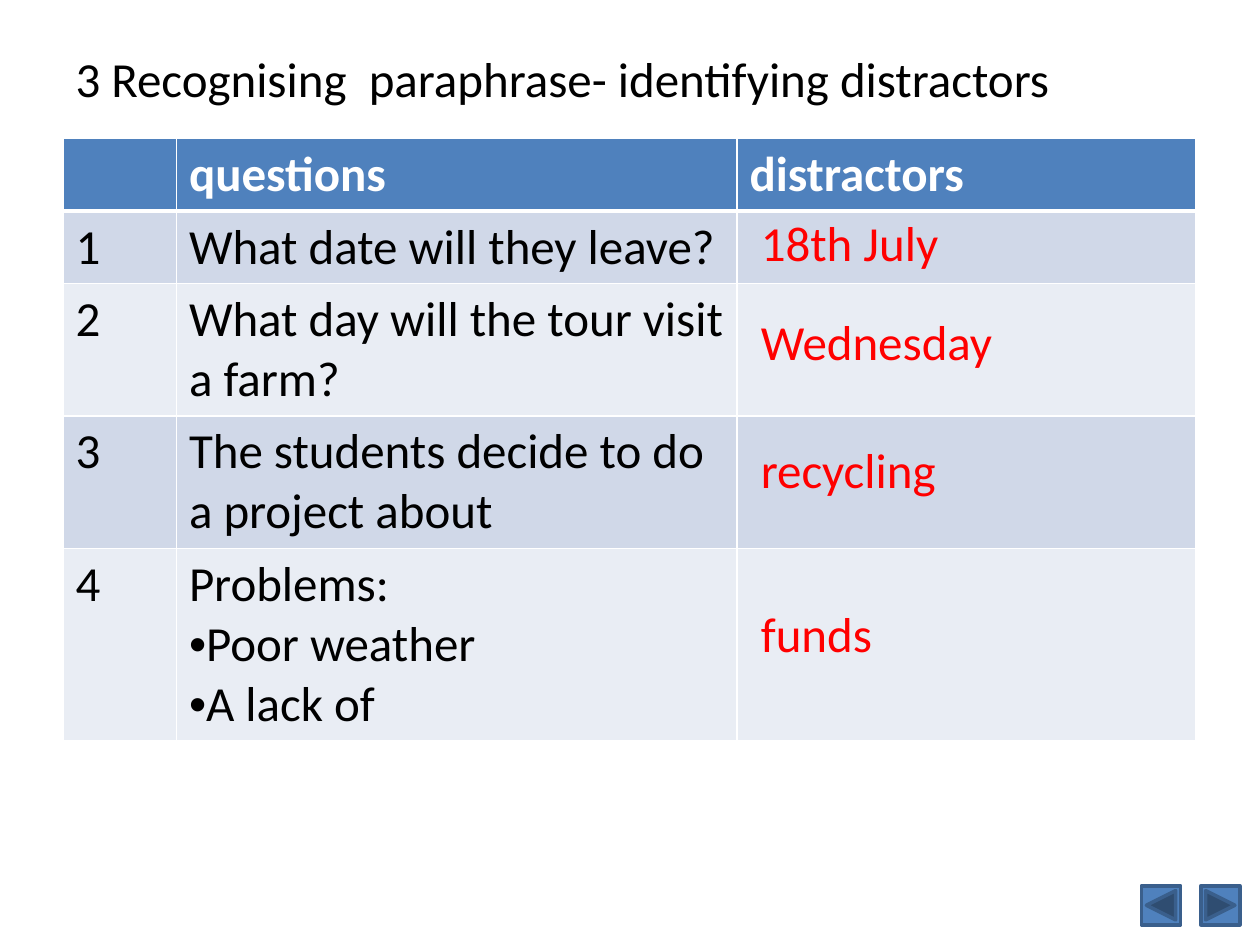
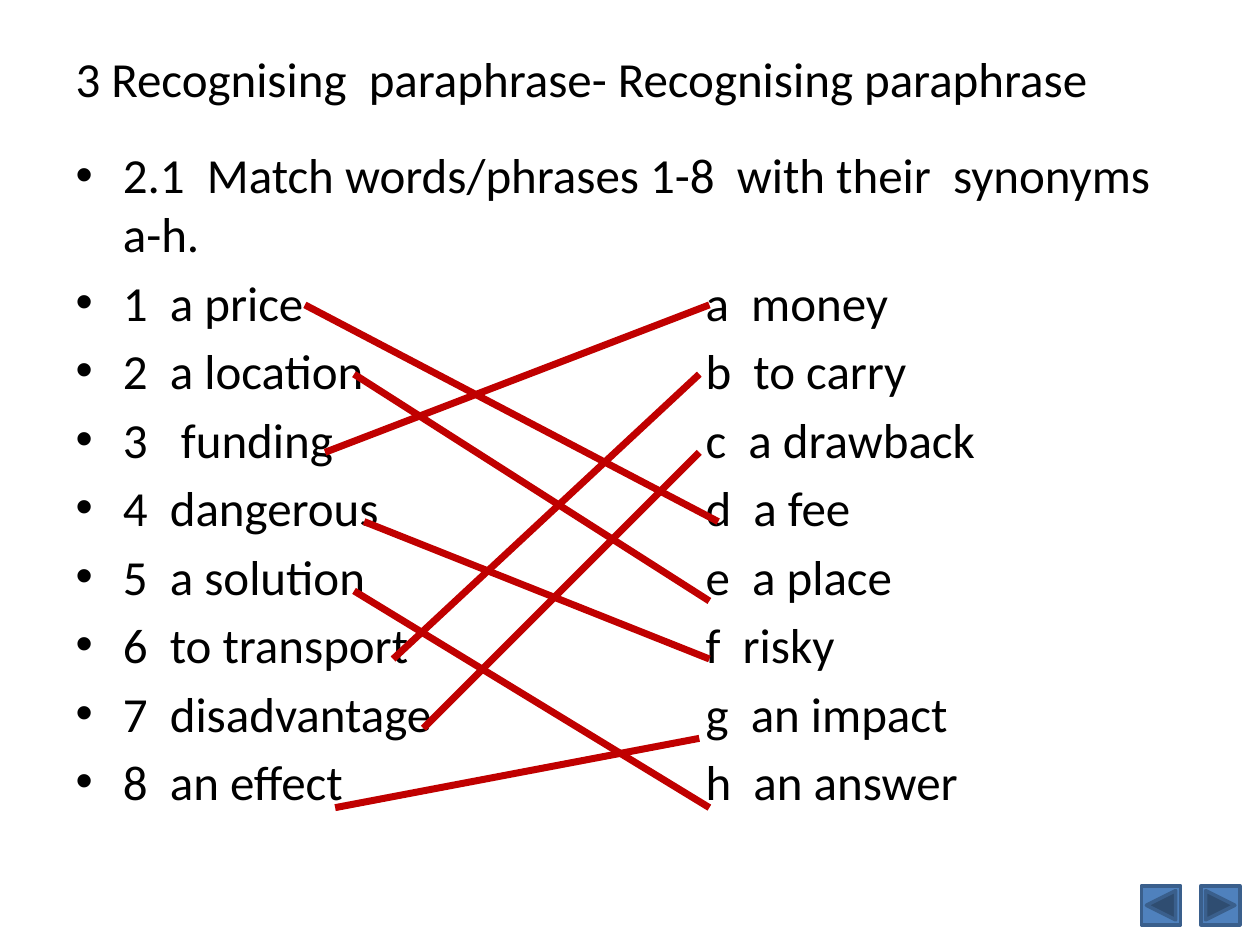
from lxml import etree
from pptx import Presentation
from pptx.dml.color import RGBColor
from pptx.enum.shapes import MSO_CONNECTOR, MSO_SHAPE
from pptx.enum.text import MSO_ANCHOR, MSO_AUTO_SIZE, PP_ALIGN
from pptx.oxml.ns import qn
from pptx.util import Inches, Pt

LEFT, MIDDLE = PP_ALIGN.LEFT, MSO_ANCHOR.MIDDLE
FIT = MSO_AUTO_SIZE.TEXT_TO_FIT_SHAPE
STRAIGHT = MSO_CONNECTOR.STRAIGHT
BACK = MSO_SHAPE.ACTION_BUTTON_BACK_OR_PREVIOUS
NEXT = MSO_SHAPE.ACTION_BUTTON_FORWARD_OR_NEXT

COLORS = {
    "text": "000000", "white": "FFFFFF", "blue": "4F81BD", "edge": "3A5F8C",
    "odd": "D0D8E8", "even": "E9EDF4", "answer": "FF0000", "match": "C00000",
}
FONT, SIZE = "Calibri", 28
BULLET = "•"
TOP = 1.1

TITLES = [
    "3 Recognising  paraphrase- identifying distractors",
    "3 Recognising  paraphrase- Recognising paraphrase",
]

HEADER = ["", "questions", "distractors"]
QUESTIONS = [
    ["What date will they leave?"],
    ["What day will the tour visit a farm?"],
    ["The students decide to do a project about"],
    ["Problems:", BULLET + "Poor weather", BULLET + "A lack of"],
]
COLS = [0.9, 4.45, 3.64]
ROWS = [0.57, 0.57, 1.05, 1.05, 1.52]
ANSWERS = [("18th July", 1.64), ("Wednesday", 2.42),
           ("recycling", 3.44), ("funds", 4.74)]

TASK = "2.1  Match words/phrases 1-8  with their  synonyms a-h."
# phrase, tabs to the second column, synonym
PAIRS = [
    ("1  a price ", 4, "a  money"),
    ("2  a location ", 3, "b  to carry"),
    ("3   funding", 3, "c  a drawback"),
    ("4  dangerous", 3, "d  a fee"),
    ("5  a solution", 3, "e  a place"),
    ("6  to transport", 3, "f  risky"),
    ("7  disadvantage", 3, "g  an impact"),
    ("8  an effect ", 3, "h  an answer"),
]
# x and y of both ends of each match
MATCHES = [
    (2.42, 2.42, 5.7, 4.14), (2.81, 2.97, 5.63, 4.77),
    (2.58, 3.59, 5.63, 2.42), (2.89, 4.14, 5.63, 5.23),
    (2.81, 4.69, 5.63, 6.41), (3.12, 5.23, 5.55, 2.97),
    (3.36, 5.78, 5.55, 3.59), (2.66, 6.41, 5.55, 5.86),
]


def color(name):
    return RGBColor.from_string(COLORS[name])


def place(shape, *box):
    shape.left, shape.top, shape.width, shape.height = map(Inches, box)


def style(par, tone="text", bold=False):
    font = par.font
    font.name, font.size, font.bold = FONT, Pt(SIZE), bold
    font.color.rgb = color(tone)


def write(frame, lines, tone="text", bold=False):
    """Fill a text frame; a line that starts with a bullet gets a real one."""
    for i, line in enumerate(lines):
        par = frame.paragraphs[0] if i == 0 else frame.add_paragraph()
        par.text = line.removeprefix(BULLET)
        style(par, tone, bold)
        if line.startswith(BULLET):
            props = par._p.get_or_add_pPr()
            mark = etree.Element(qn("a:buChar"), char=BULLET)
            face = etree.Element(qn("a:buFont"), typeface="Arial")
            props.insert(0, face)
            props.insert(1, mark)


def add_page(prs, layout, title):
    """Add a slide with the shared title and the two buttons."""
    page = prs.slides.add_slide(prs.slide_layouts[layout])
    head = page.shapes.title
    place(head, 0.5, 0.3, 9, 0.64)
    frame = head.text_frame
    frame.vertical_anchor = MIDDLE
    write(frame, [title])
    frame.paragraphs[0].alignment = LEFT
    for kind, x in ((BACK, 9.06), (NEXT, 9.53)):
        box = map(Inches, (x, 7.03, 0.31, 0.31))
        button = page.shapes.add_shape(kind, *box)
        button.shadow.inherit = False
        button.fill.solid()
        button.fill.fore_color.rgb = color("blue")
        button.line.color.rgb = color("edge")
        button.line.width = Pt(2)
    return page


def rule(cell, top, bottom):
    """Draw white borders, with the top and bottom widths in points."""
    props = cell._tc.get_or_add_tcPr()
    sides = (("L", 1), ("R", 1), ("T", top), ("B", bottom))
    for i, (side, width) in enumerate(sides):
        line = etree.Element(qn("a:ln" + side), w=str(Pt(width)))
        fill = etree.SubElement(line, qn("a:solidFill"))
        etree.SubElement(fill, qn("a:srgbClr"), val=COLORS["white"])
        props.insert(i, line)


def add_grid(page):
    rows = [[[text] for text in HEADER]]
    rows += [[[str(n)], lines, [""]] for n, lines in enumerate(QUESTIONS, 1)]
    box = map(Inches, (0.5, TOP, sum(COLS), sum(ROWS)))
    grid = page.shapes.add_table(len(ROWS), len(COLS), *box).table
    for col, width in zip(grid.columns, COLS):
        col.width = Inches(width)
    for r, row in enumerate(rows):
        grid.rows[r].height = Inches(ROWS[r])
        fill = "blue" if r == 0 else "odd" if r % 2 else "even"
        for c, lines in enumerate(row):
            cell = grid.cell(r, c)
            cell.fill.solid()
            cell.fill.fore_color.rgb = color(fill)
            rule(cell, 3 if r == 1 else 1, 3 if r == 0 else 1)
            write(cell.text_frame, lines, "text" if r else "white", r == 0)


def add_answers(page):
    for text, y in ANSWERS:
        box = map(Inches, (5.94, y, 2.5, 0.57))
        frame = page.shapes.add_textbox(*box).text_frame
        frame.word_wrap = True
        write(frame, [text], "answer")


def add_pairs(page):
    body = page.placeholders[1]
    place(body, 0.5, TOP, 9, 6.02)
    frame = body.text_frame
    frame.auto_size = FIT
    lines = [left + "\t" * tabs + right for left, tabs, right in PAIRS]
    write(frame, [TASK] + lines)
    for par in frame.paragraphs:
        par._p.get_or_add_pPr().set("defTabSz", str(Inches(1)))


def add_matches(page):
    for ends in MATCHES:
        link = page.shapes.add_connector(STRAIGHT, *map(Inches, ends))
        link.line.color.rgb = color("match")
        link.line.width = Pt(4)
        etree.SubElement(link._element.spPr, qn("a:effectLst"))


def main():
    prs = Presentation()
    prs.slide_width, prs.slide_height = Inches(10), Inches(7.5)
    page = add_page(prs, 5, TITLES[0])
    add_grid(page)
    add_answers(page)
    page = add_page(prs, 1, TITLES[1])
    add_pairs(page)
    add_matches(page)
    prs.save("out.pptx")


if __name__ == "__main__":
    main()
